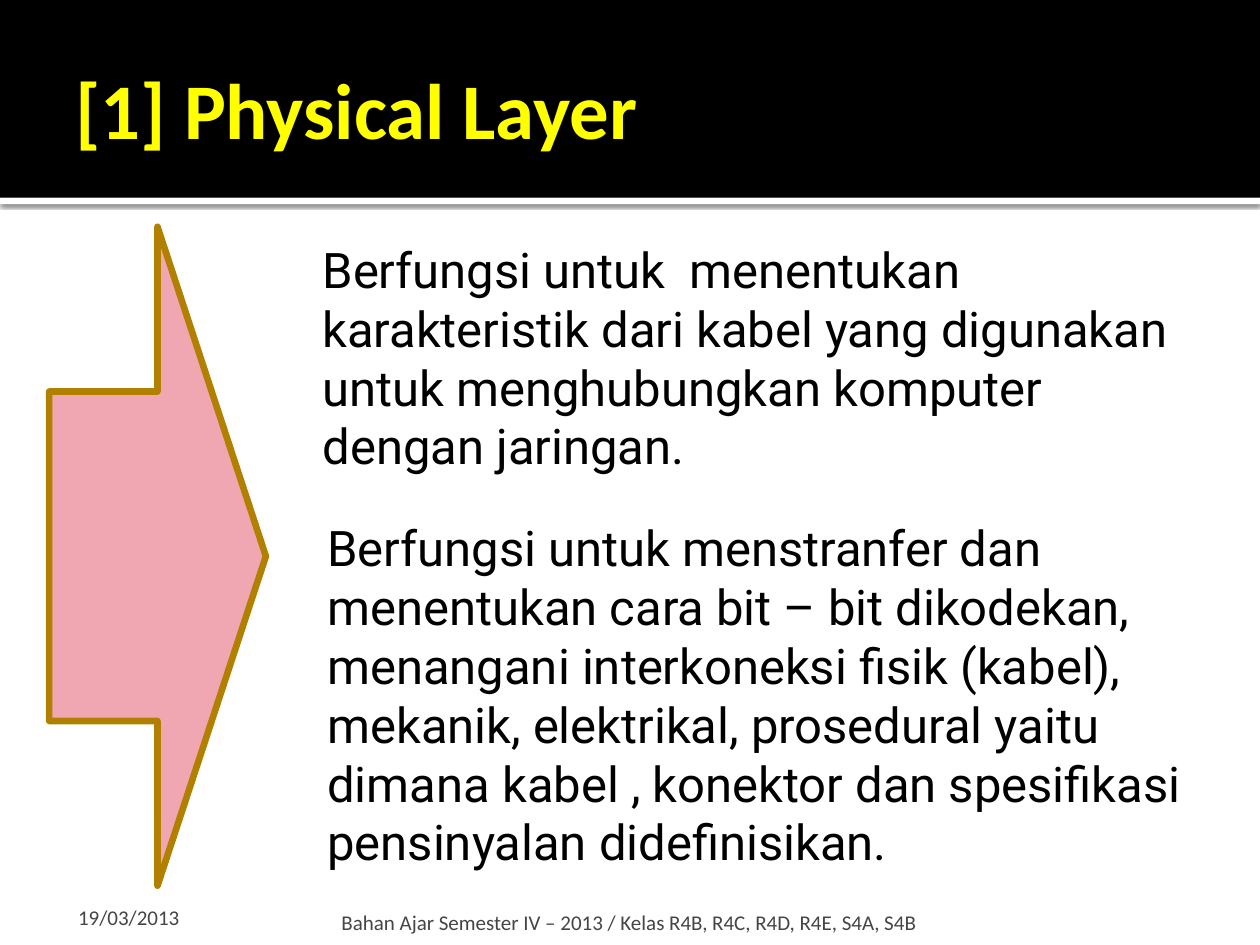
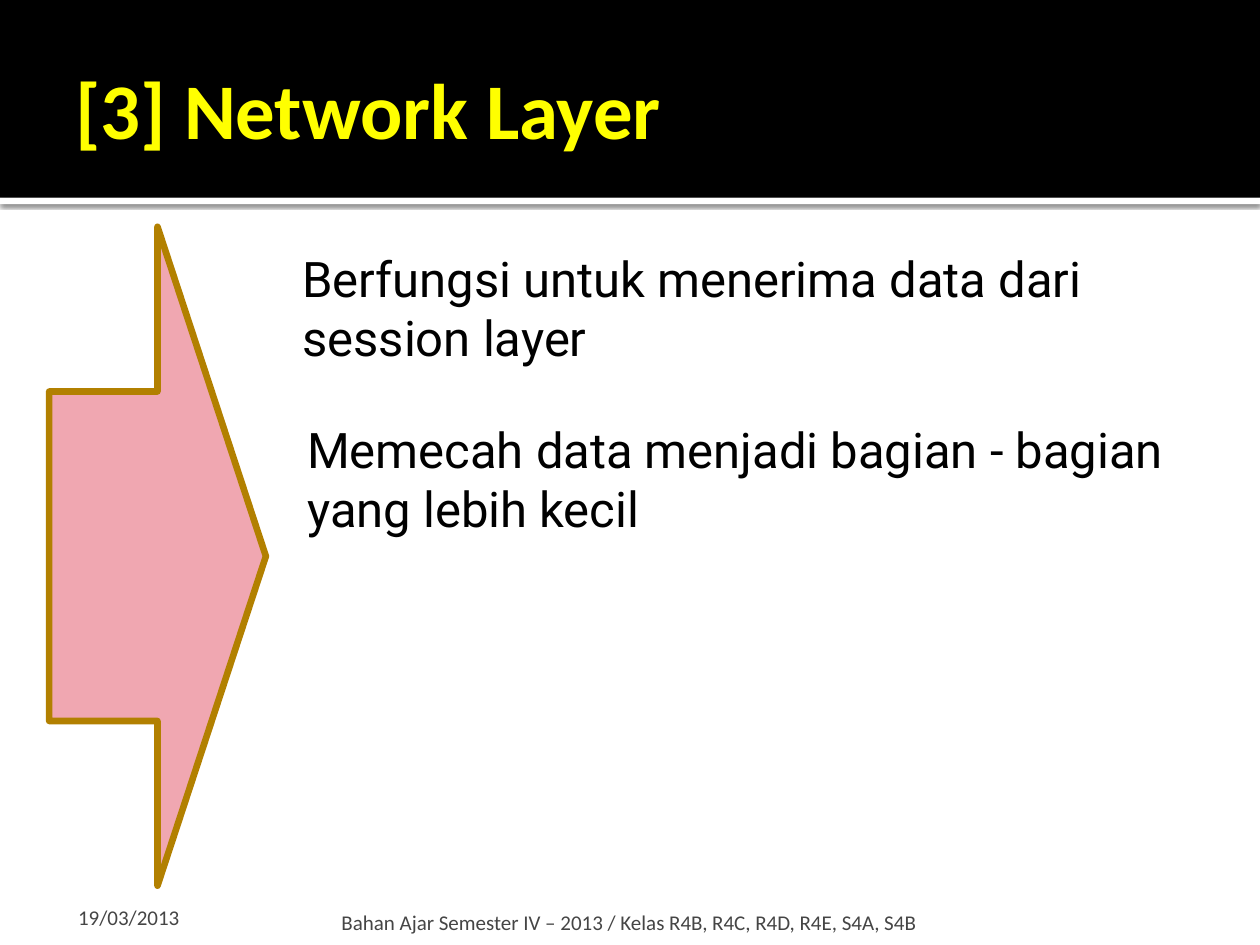
from lxml import etree
from pptx import Presentation
from pptx import util as u
from pptx.dml import color
from pptx.enum import shapes, text
from pptx.oxml import ns

# Content: title, then text blocks as (left, top, width, height, insets, lines)
FIRST_INSETS = (0.06, 0.1, 0.1, 0.05)
NEXT_INSETS = (0.1, 0.05, 0.1, 0.05)
LAYERS = [
    ("[1] Physical Layer", [
        (2.5, 1.8, 7.19, 2.11, FIRST_INSETS, [
            "Berfungsi untuk  menentukan karakteristik dari kabel yang digunakan "
            "untuk menghubungkan komputer dengan jaringan."]),
        (2.5, 4.06, 7.19, 3.13, NEXT_INSETS, [
            "Berfungsi untuk menstranfer dan menentukan cara bit – bit dikodekan, "
            "menangani interkoneksi fisik (kabel), mekanik, elektrikal, prosedural yaitu",
            "dimana kabel , konektor dan spesifikasi",
            "pensinyalan didefinisikan."]),
    ]),
    ("[3] Network Layer", [
        (2.34, 1.87, 7.19, 1.17, FIRST_INSETS, [
            "Berfungsi untuk menerima data dari session layer"]),
        (2.34, 3.28, 7.19, 1.25, NEXT_INSETS, [
            "Memecah data menjadi bagian - bagian yang lebih kecil"]),
    ]),
]
DATE = "19/03/2013"
COURSE = "Bahan Ajar Semester IV – 2013 / Kelas R4B, R4C, R4D, R4E, S4A, S4B"

# Shared look
BLACK, WHITE, YELLOW, GREY = "000000", "FFFFFF", "FFFF00", "454545"
PINK, GOLD = "F0A7B1", "B28000"
TITLE_STYLE = ("Calibri", 45, YELLOW, True)
BODY_STYLE = ("Roboto", 28, BLACK, False)
FOOTER_STYLE = ("Calibri", 12, GREY, False)
BAND_HEIGHT = 1.57


def rgb(value):
    return color.RGBColor.from_string(value)


def inches(values):
    return [u.Inches(v) for v in values]


def add_block(slide, box, insets, lines, style, anchor=text.MSO_ANCHOR.TOP):
    block = slide.shapes.add_textbox(*inches(box))
    frame = block.text_frame
    frame.word_wrap = True
    frame.vertical_anchor = anchor
    (frame.margin_left, frame.margin_top,
     frame.margin_right, frame.margin_bottom) = inches(insets)
    paragraph = frame.paragraphs[0]
    font_name, size, ink, bold = style
    for i, line in enumerate(lines):
        if i:
            paragraph.add_line_break()
        run = paragraph.add_run()
        run.text = line
        run.font.name, run.font.size, run.font.bold = font_name, u.Pt(size), bold
        run.font.color.rgb = rgb(ink)
    return block


def add_filled(slide, preset, box, fill, outline=None, width=0):
    shape = slide.shapes.add_shape(preset, *inches(box))
    shape.fill.solid()
    shape.fill.fore_color.rgb = rgb(fill)
    if outline:
        shape.line.color.rgb = rgb(outline)
        shape.line.width = u.Pt(width)
    else:
        shape.line.fill.background()
    shape.shadow.inherit = False
    return shape


def add_shadow(shape, blur, distance, direction, opacity):
    effects = shape._element.spPr.find(ns.qn("a:effectLst"))
    shadow = etree.SubElement(
        effects, ns.qn("a:outerShdw"), blurRad=str(u.Pt(blur)),
        dist=str(u.Pt(distance)), dir=str(direction * 60000),
        algn="tl", rotWithShape="0")
    ink = etree.SubElement(shadow, ns.qn("a:srgbClr"), val=BLACK)
    etree.SubElement(ink, ns.qn("a:alpha"), val=str(opacity * 1000))


def add_header(slide, title):
    rect = shapes.MSO_SHAPE.RECTANGLE
    strip = add_filled(slide, rect, (0, BAND_HEIGHT, 10, 0.05), WHITE)
    add_shadow(strip, blur=2.5, distance=0.8, direction=90, opacity=60)
    add_filled(slide, rect, (0, 0, 10, BAND_HEIGHT), BLACK)
    heading = add_block(slide, (0.5, 0.17, 9, 1.37), (0.1, 0.05, 0.05, 0.05),
                        [title], TITLE_STYLE, text.MSO_ANCHOR.MIDDLE)
    heading.line.color.rgb = rgb(BLACK)
    heading.line.width = u.Pt(0.75)


def add_footer(slide):
    bottom = text.MSO_ANCHOR.BOTTOM
    add_block(slide, (0.5, 7.08, 2.33, 0.3), (0.12, 0.05, 0.05, 0),
              [DATE], FOOTER_STYLE, bottom)
    add_block(slide, (2.66, 7.02, 5.33, 0.4), (0.05, 0.05, 0.05, 0),
              [COURSE], FOOTER_STYLE, bottom)


# Build the slides
deck = Presentation()
deck.slide_width, deck.slide_height = inches((10, 7.5))
for title, blocks in LAYERS:
    slide = deck.slides.add_slide(deck.slide_layouts[6])
    add_header(slide, title)
    add_footer(slide)
    add_filled(slide, shapes.MSO_SHAPE.RIGHT_ARROW,
               (0.39, 1.8, 1.72, 5.23), PINK, GOLD, 3.78)
    for *box, insets, lines in blocks:
        add_block(slide, box, insets, lines, BODY_STYLE)

deck.save("out.pptx")
